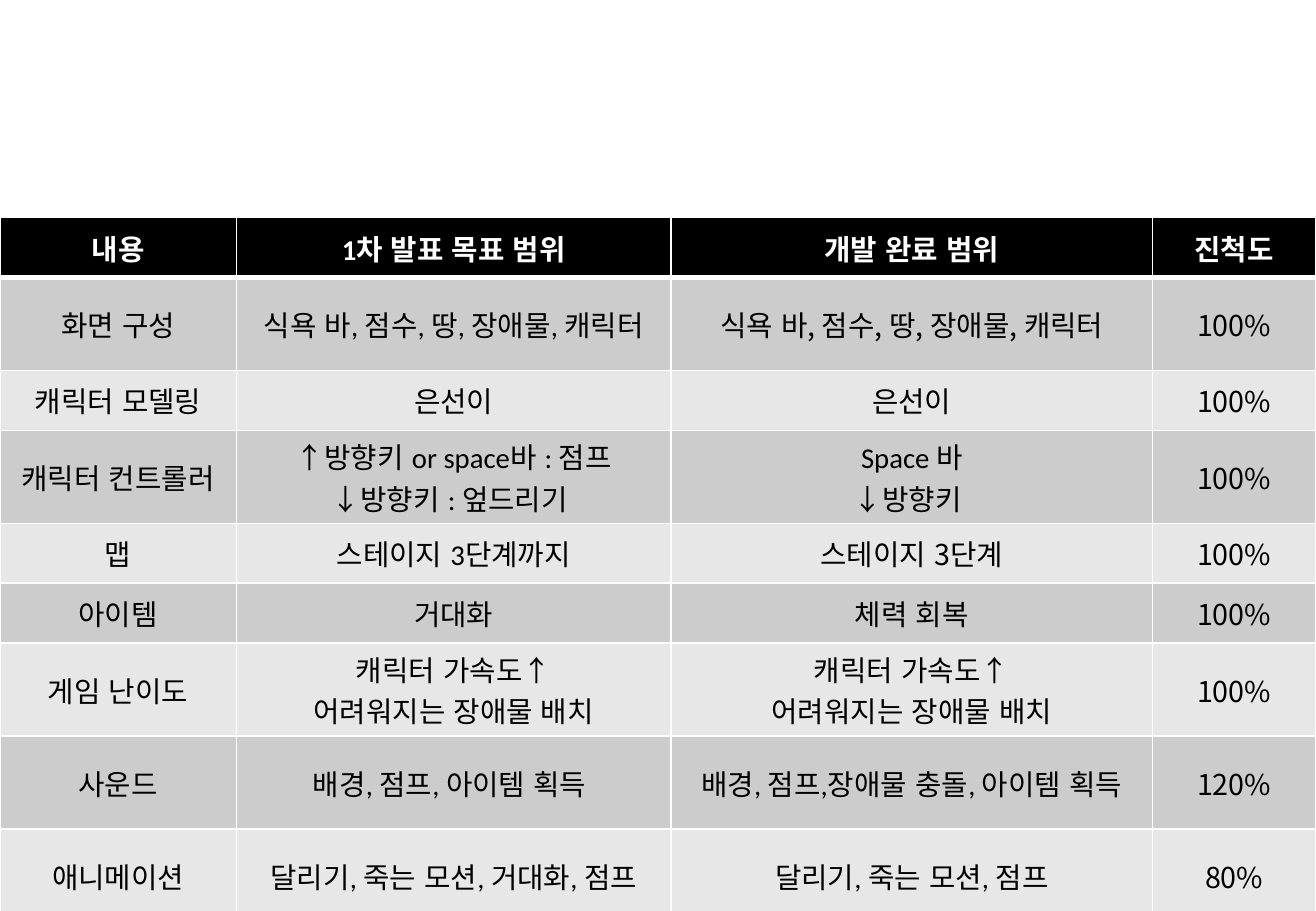
import pptx
import pptx.util
import pptx.dml.color
import pptx.enum.lang
import pptx.enum.text
import lxml.etree
from dataclasses import dataclass
from pptx.util import Cm


@dataclass(frozen=True)
class Theme:
    latin: str = "Calibri"
    korean: str = "Noto Sans CJK KR"
    white: str = "FFFFFF"
    black: str = "000000"
    bands: tuple = ("CCCCCC", "E7E7E7")
    table_size: int = 17


theme = Theme()
DRAWING = "{http://schemas.openxmlformats.org/drawingml/2006/main}"


def write(frame, text, font, size, color, bold=False):
    """Fill a text frame with one centred paragraph per line of text."""
    for index, line in enumerate(text.split("\n")):
        para = frame.add_paragraph() if index else frame.paragraphs[0]
        para.alignment = pptx.enum.text.PP_ALIGN.CENTER
        span = para.add_run()
        span.text = line
        span.font.name = font
        span.font.size = pptx.util.Pt(size)
        span.font.bold = bold
        span.font.color.rgb = pptx.dml.color.RGBColor.from_string(color)
        span.font.language_id = pptx.enum.lang.MSO_LANGUAGE_ID.KOREAN
        east_asian = lxml.etree.SubElement(span.font._element, DRAWING + "ea")
        east_asian.set("typeface", theme.korean)


def add_border(cell, side, points):
    """Draw one white edge of a table cell."""
    properties = cell._tc.get_or_add_tcPr()
    edge = lxml.etree.SubElement(properties, DRAWING + "ln" + side)
    edge.set("w", str(pptx.util.Pt(points)))
    fill = lxml.etree.SubElement(edge, DRAWING + "solidFill")
    lxml.etree.SubElement(fill, DRAWING + "srgbClr").set("val", theme.white)


# Slide
deck = pptx.Presentation()
deck.slide_width, deck.slide_height = Cm(27.51), Cm(19.05)
page = deck.slides.add_slide(deck.slide_layouts.get_by_name("Blank"))

# Progress table content
progress = [
    ("내용", "1차 발표 목표 범위", "개발 완료 범위", "진척도"),
    ("화면 구성", "식욕 바, 점수, 땅, 장애물, 캐릭터", "식욕 바, 점수, 땅, 장애물, 캐릭터", "100%"),
    ("캐릭터 모델링", "은선이", "은선이", "100%"),
    ("캐릭터 컨트롤러", "↑방향키 or space바 : 점프\n↓방향키 : 엎드리기 ", "Space 바\n↓방향키 ", "100%"),
    ("맵", "스테이지 3단계까지", "스테이지 3단계", "100%"),
    ("아이템", "거대화", "체력 회복", "100%"),
    ("게임 난이도", "캐릭터 가속도↑\n어려워지는 장애물 배치", "캐릭터 가속도↑\n어려워지는 장애물 배치", "100%"),
    ("사운드", "배경, 점프, 아이템 획득 ", "배경, 점프,장애물 충돌, 아이템 획득", "120%"),
    ("애니메이션", "달리기, 죽는 모션, 거대화, 점프", "달리기, 죽는 모션, 점프", "80%"),
]
column_widths = (4.94, 9.09, 10.06, 3.42)
row_heights = (1.25, 1.37, 1.25, 1.37, 1.25, 1.25, 1.37, 1.37, 1.37)
korean_cells = {(row, 2) for row in (1, 2, 4, 5)} | {(row, 3) for row in range(9)} | {(1, 0)}

# Table grid
table = page.shapes.add_table(len(progress), len(column_widths), 0, Cm(4.55),
                              Cm(sum(column_widths)), Cm(sum(row_heights))).table
for column, width in zip(table.columns, column_widths):
    column.width = Cm(width)
for row, height in zip(table.rows, row_heights):
    row.height = Cm(height)

# Table cells
for row, texts in enumerate(progress):
    header = row == 0
    for column, text in enumerate(texts):
        cell = table.cell(row, column)
        cell.vertical_anchor = pptx.enum.text.MSO_ANCHOR.MIDDLE
        cell.margin_left = cell.margin_right = Cm(0.25)
        cell.margin_top = cell.margin_bottom = Cm(0.1)
        for side in "LRTB":
            thick = (header and side == "B") or (row == 1 and side == "T")
            add_border(cell, side, points=3 if thick else 1)
        cell.fill.solid()
        shade = theme.black if header else theme.bands[(row - 1) % 2]
        cell.fill.fore_color.rgb = pptx.dml.color.RGBColor.from_string(shade)
        write(cell.text_frame, text, size=theme.table_size, bold=header,
              font=theme.korean if (row, column) in korean_cells else theme.latin,
              color=theme.white if header else theme.black)

deck.save("out.pptx")
